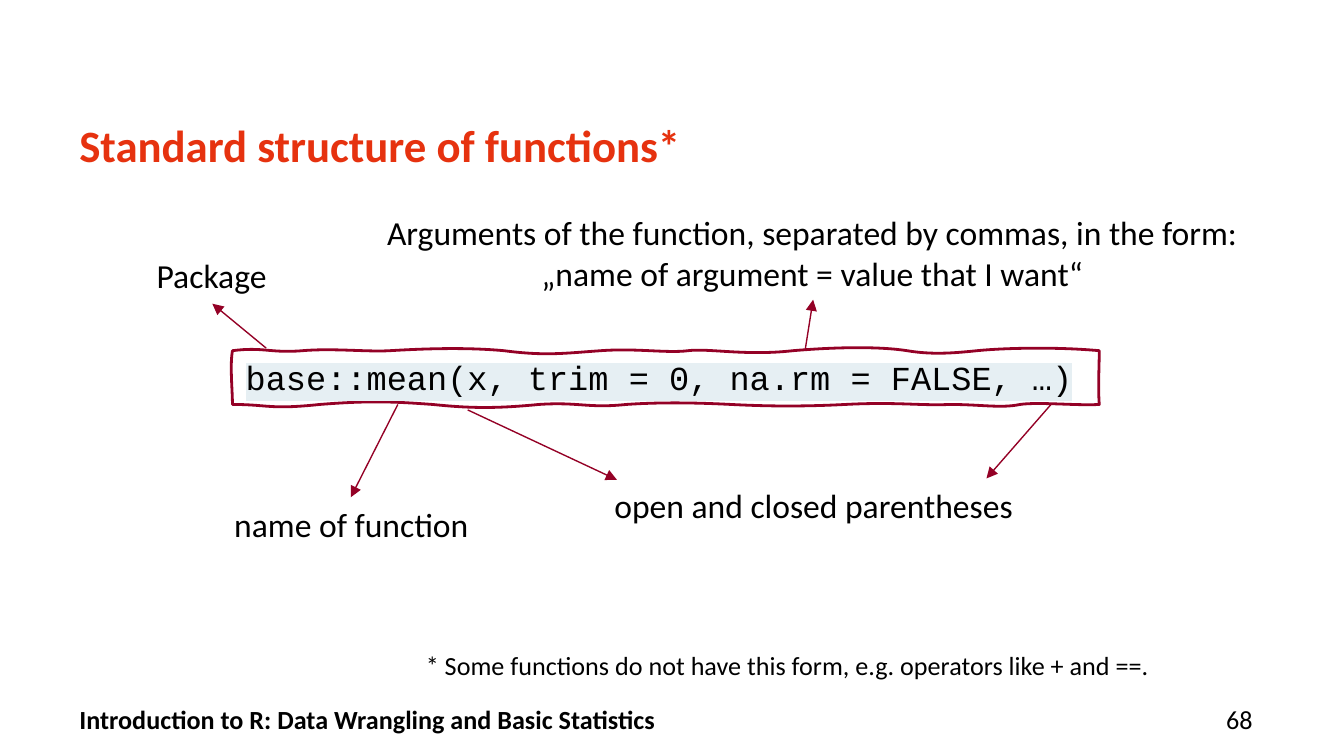
from pptx import Presentation
from pptx.dml.color import RGBColor
from pptx.enum.shapes import MSO_CONNECTOR as CONN, PP_PLACEHOLDER as PH
from pptx.enum.text import MSO_ANCHOR as ANCHOR, MSO_AUTO_SIZE as AUTO, PP_ALIGN as ALIGN
from pptx.oxml.ns import qn
from pptx.util import Emu, Pt
from lxml.etree import SubElement

PX = 9144
WINE, RED, BLACK, PALE = "940126", "E6320F", "000000", "E6EFF3"

WAVE = [
    (23, -3, 28, 2, 52, 0), (75, -2, 100, 1, 117, 0), (134, -1, 170, -3, 202, 0),
    (233, 4, 246, 2, 274, 0), (301, -2, 323, 2, 339, 0), (354, -2, 382, 4, 417, 0),
    (452, -3, 483, -3, 502, 0), (520, 3, 535, 2, 554, 0), (573, -2, 613, -3, 645, 0),
    (645, 10, 644, 28, 645, 40), (628, 41, 600, 38, 586, 40), (572, 43, 557, 40, 534, 40),
    (511, 41, 494, 38, 456, 40), (418, 42, 391, 41, 371, 40), (351, 39, 322, 38, 293, 40),
    (264, 43, 258, 38, 228, 40), (197, 43, 178, 43, 149, 40), (121, 38, 103, 37, 65, 40),
    (27, 44, 27, 40, 0, 40), (0, 29, -2, 11, 0, 0),
]
LABELS = [
    ("Package", (106, 185, 103, 40)),
    ("name of function", (163, 370, 197, 40)),
    ("Arguments of the function, separated by commas, in the form:\n"
     "„name of argument = value that I want“", (274, 153, 661, 71)),
    ("open and closed parentheses", (445, 356, 321, 40)),
]
ARROWS = [
    (198, 259, 158, 226), (599, 261, 605, 223), (296, 301, 261, 370),
    (348, 305, 459, 357), (782, 301, 734, 356),
]


def px(n):
    """Turn px into EMU."""
    return Emu(round(n * PX))


def rgb(color):
    """Turn a hex string into a colour."""
    return RGBColor.from_string(color)


def put_text(sp, text, size=18, font="Calibri", color=BLACK, bold=False, align=ALIGN.LEFT,
             anchor=ANCHOR.TOP, inset=(10, 5), wrap=False, spacing=None, highlight=None):
    """Write formatted text into a shape, one paragraph for each line."""
    tf = sp.text_frame
    tf.auto_size, tf.word_wrap, tf.vertical_anchor = AUTO.NONE, wrap, anchor
    tf.margin_left = tf.margin_right = px(inset[0])
    tf.margin_top = tf.margin_bottom = px(inset[1])
    for i, line in enumerate(text.split("\n")):
        p = tf.add_paragraph() if i else tf.paragraphs[0]
        p.alignment = align
        if spacing:
            p.line_spacing = Pt(spacing)
        r = p.add_run()
        r.text = line
        r.font.size, r.font.bold = Pt(size), bold
        r.font.color.rgb = rgb(color)
        if highlight:
            mark = SubElement(r.font._element, qn("a:highlight"))
            SubElement(mark, qn("a:srgbClr")).set("val", highlight)
        r.font.name = font


def add_text(s, box, text, **fmt):
    """Add a text box at the given box."""
    put_text(s.shapes.add_textbox(*map(px, box)), text, **fmt)


def add_title(s, box, text):
    """Place and format the title placeholder."""
    sp = s.shapes.title
    sp.left, sp.top, sp.width, sp.height = map(px, box)
    put_text(sp, text, size=24, color=RED, bold=True, inset=(0, 0), wrap=True, spacing=30)


def bend_outline(sp, curves):
    """Replace the straight sides of a freeform by cubic curves."""
    path = next(sp._element.iter(qn("a:path")))
    for tag in ("a:lnTo", "a:close"):
        for side in path.findall(qn(tag)):
            path.remove(side)
    for curve in curves:
        bezier = SubElement(path, qn("a:cubicBezTo"))
        for x, y in zip(curve[::2], curve[1::2]):
            pt = SubElement(bezier, qn("a:pt"))
            pt.set("x", str(px(x)))
            pt.set("y", str(px(y)))
    SubElement(path, qn("a:close"))


def add_code(s, box, code):
    """Add the code line inside its hand-drawn frame."""
    left, top, width, height = map(px, box)
    builder = s.shapes.build_freeform(left, top, scale=1.0)
    builder.add_line_segments([(left + width, top), (left + width, top + height),
                               (left, top + height)], close=True)
    sp = builder.convert_to_shape()
    bend_outline(sp, WAVE)
    sp.shadow.inherit = False
    sp.fill.background()
    sp.line.color.rgb, sp.line.width = rgb(WINE), Pt(1.5)
    put_text(sp, code, font="Courier New", highlight=PALE)


def add_arrow(s, ends):
    """Add an arrow from the code to a label."""
    c = s.shapes.add_connector(CONN.STRAIGHT, *map(px, ends))
    c.line.color.rgb, c.line.width = rgb(WINE), Pt(0.75)
    SubElement(c.line._get_or_add_ln(), qn("a:tailEnd")).set("type", "triangle")
    SubElement(c._element.spPr, qn("a:effectLst"))


def add_footer(s, box, text, number):
    """Add the course name and the slide number."""
    left, top, width, height = box
    fmt = dict(size=14, anchor=ANCHOR.MIDDLE, inset=(0, 0), wrap=True)
    add_text(s, (left, top, 752, height), text, bold=True, **fmt)
    add_text(s, (left + width - 89, top, 89, height), number, align=ALIGN.RIGHT, **fmt)


def clear_footers(layout):
    """Remove the unused footer placeholders of a layout and its master."""
    for owner in (layout, layout.slide_master):
        for sp in list(owner.placeholders):
            if sp.placeholder_format.type in (PH.DATE, PH.FOOTER, PH.SLIDE_NUMBER):
                sp._element.getparent().remove(sp._element)


def main():
    """Build the slide and save it."""
    prs = Presentation()
    prs.slide_width, prs.slide_height = px(1000), px(562.5)
    layout = prs.slide_layouts[5]
    clear_footers(layout)
    s = prs.slides.add_slide(layout)
    add_title(s, (59, 86, 873, 68), "Standard structure of functions*")
    add_code(s, (173, 261, 646, 40), "base::mean(x, trim = 0, na.rm = FALSE, …)")
    for text, box in LABELS:
        add_text(s, box, text, align=ALIGN.CENTER)
    for ends in ARROWS:
        add_arrow(s, ends)
    add_text(s, (307, 478, 563, 34), size=14,
             text="* Some functions do not have this form, e.g. operators like + and ==.")
    add_footer(s, (59, 524, 873, 22),
               "Introduction to R: Data Wrangling and Basic Statistics", "68")
    prs.save("out.pptx")


if __name__ == "__main__":
    main()
